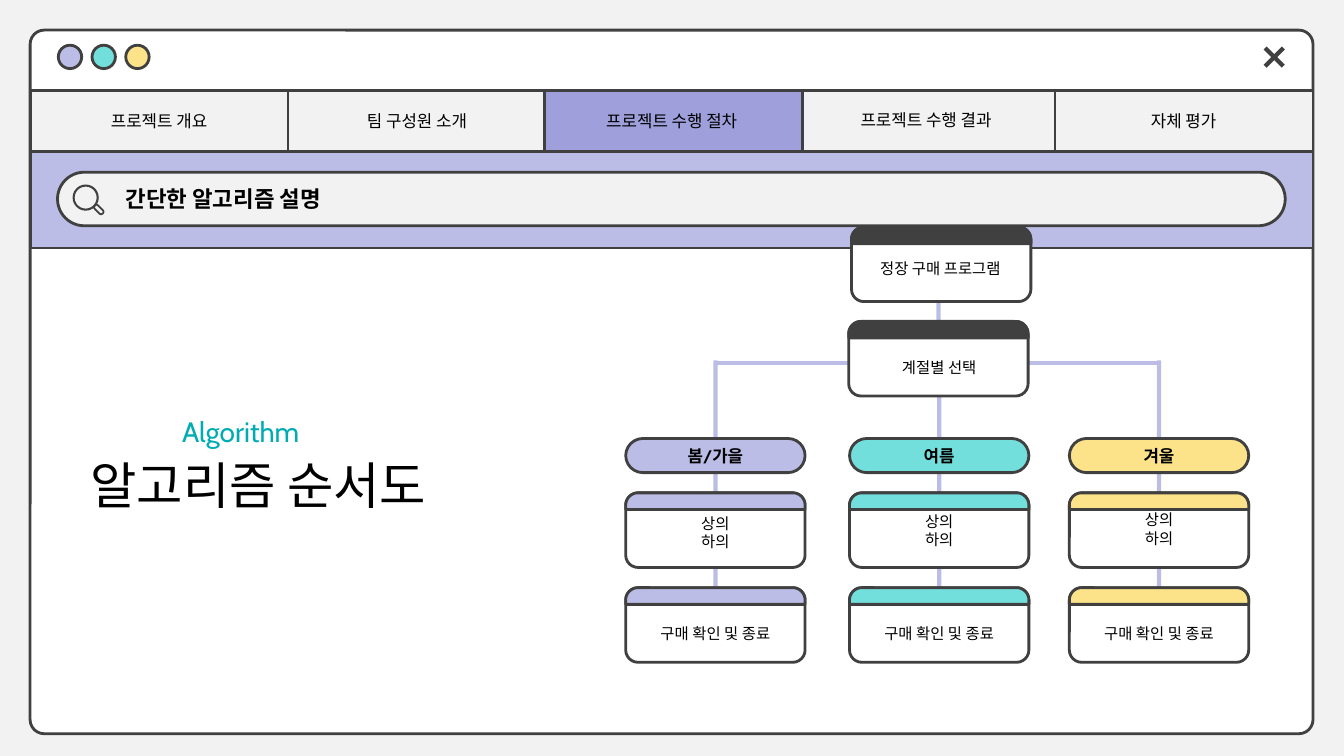
from math import cos, pi, sin
from lxml.etree import SubElement
from pptx import Presentation
from pptx.dml.color import RGBColor
from pptx.enum.shapes import MSO_CONNECTOR, MSO_SHAPE
from pptx.enum.text import MSO_ANCHOR, MSO_AUTO_SIZE, PP_ALIGN
from pptx.oxml.ns import qn
from pptx.util import Cm, Pt

COLORS = {
    "page": "F2F2F2", "white": "FFFFFF", "ink": "404040", "black": "000000",
    "lavender": "BCBDE6", "violet": "9E9FDB", "mint": "73DFDC",
    "yellow": "FCE38A", "teal": "00ACB4",
}
FONT = "Cabin"

TABS = [
    ("프로젝트 개요", 0.76, 0.76, 2.67, "page"),
    ("팀 구성원 소개", 7.26, 7.26, 2.67, "page"),
    ("프로젝트 수행 절차", 13.72, 13.68, 2.67, "violet"),
    ("프로젝트 수행 결과", 20.22, 20.09, 2.64, "page"),
    ("자체 평가", 26.59, 26.58, 2.67, "page"),
]
HEADINGS = [
    ("간단한 알고리즘 설명", 2.92, 4.55, 26.09, 0.94, 16, "black", True),
    ("알고리즘 순서도", 2.03, 11.33, 13.51, 1.8, 36, "black", False),
    ("Algorithm", 4.34, 10.31, 9.07, 1.12, 20, "teal", False),
]
SEASONS = [
    ("봄/가을", 15.77, "lavender", 12.83),
    ("여름", 21.41, "mint", 12.78),
    ("겨울", 26.95, "yellow", 12.73),
]
CLOTHES = "상의\n하의"
CONFIRM = "구매 확인 및 종료"
START = ("정장 구매 프로그램", 21.46, 5.72, 21.44, 6.4)
CHOICE = ("계절별 선택", 21.39, 8.1, 21.41, 8.89)

CARD_WIDTH, CARD_HEIGHT, HEADER_HEIGHT, CARD_RADIUS = 4.52, 1.88, 0.42, 0.31
PILL_TOP, CLOTHES_TOP, CONFIRM_TOP = 11.05, 12.42, 14.81
BRANCH_Y = 9.14
TAB_WIDTH = 6.5

deck = Presentation()
deck.slide_width, deck.slide_height = Cm(33.87), Cm(19.05)
page = deck.slides.add_slide(deck.slide_layouts[6])


def color(name):
    return RGBColor.from_string(COLORS[name])


def paint(shape, fill, line="ink", line_width=2):
    shape.shadow.inherit = False
    if fill:
        shape.fill.solid()
        shape.fill.fore_color.rgb = color(fill)
    else:
        shape.fill.background()
    if line:
        shape.line.color.rgb = color(line)
        shape.line.width = Pt(line_width)
    else:
        shape.line.fill.background()
    return shape


def add_box(kind, left, top, width, height, fill, line="ink", line_width=2, adjust=None):
    box = page.shapes.add_shape(kind, Cm(left), Cm(top), Cm(width), Cm(height))
    if adjust is not None:
        box.adjustments[0] = adjust
    return paint(box, fill, line, line_width)


def write(box, text, size, ink="black", bold=False, align=PP_ALIGN.CENTER):
    box.text_frame.text = text
    box.text_frame.word_wrap = True
    for para in box.text_frame.paragraphs:
        para.alignment = align
        for span in para.runs:
            span.font.name = FONT
            span.font.size = Pt(size)
            span.font.bold = bold
            span.font.color.rgb = color(ink)


def add_label(text, left, top, width, height, size, **style):
    box = page.shapes.add_textbox(Cm(left), Cm(top), Cm(width), Cm(height))
    write(box, text, size, **style)
    box.text_frame.auto_size = MSO_AUTO_SIZE.SHAPE_TO_FIT_TEXT


def add_link(x1, y1, x2, y2):
    link = page.shapes.add_connector(MSO_CONNECTOR.STRAIGHT, Cm(x1), Cm(y1), Cm(x2), Cm(y2))
    link.line.color.rgb = color("lavender")
    link.line.width = Pt(3)
    SubElement(link._element.spPr, qn("a:effectLst"))
    return link


def add_card(left, top, header):
    card = add_box(MSO_SHAPE.ROUNDED_RECTANGLE, left, top, CARD_WIDTH, CARD_HEIGHT,
                   "white", adjust=CARD_RADIUS / CARD_HEIGHT)
    right, bottom = left + CARD_WIDTH, top + HEADER_HEIGHT
    steps = 12
    outline = [(left, bottom)]
    for center_x, first_angle in ((left + CARD_RADIUS, pi), (right - CARD_RADIUS, 1.5 * pi)):
        for step in range(steps + 1):
            angle = first_angle + step * pi / 2 / steps
            outline.append((center_x + CARD_RADIUS * cos(angle),
                            top + CARD_RADIUS + CARD_RADIUS * sin(angle)))
    outline.append((right, bottom))
    points = [(Cm(x), Cm(y)) for x, y in outline]
    builder = page.shapes.build_freeform(*points[0])
    builder.add_line_segments(points[1:], close=True)
    paint(builder.convert_to_shape(), header)
    return card


def add_tilted(kind, center_x, center_y, length, thickness, angle, **style):
    bar = add_box(kind, center_x - length / 2, center_y - thickness / 2,
                  length, thickness, **style)
    bar.rotation = angle


background = page.background.fill
background.solid()
background.fore_color.rgb = color("page")

add_box(MSO_SHAPE.ROUNDED_RECTANGLE, 0.76, 0.76, 32.33, 17.73, "white", adjust=0.02)
for index, (_, _, fill, _) in enumerate(SEASONS):
    add_box(MSO_SHAPE.OVAL, 1.47 + index * 0.85, 1.14, 0.59, 0.59, fill)
for angle in (45, 135):
    add_tilted(MSO_SHAPE.RECTANGLE, 32.11, 1.44, 0.65, 0.11, angle, fill="ink", line=None)

for _, left, _, _, fill in TABS:
    add_box(MSO_SHAPE.RECTANGLE, left, 2.29, TAB_WIDTH, 1.52, fill)
for text, _, left, top, _ in TABS:
    add_label(text, left, top, TAB_WIDTH, 0.76, 12)

add_box(MSO_SHAPE.RECTANGLE, 0.76, 3.81, 32.33, 2.44, "lavender")
add_box(MSO_SHAPE.ROUNDED_RECTANGLE, 1.45, 4.34, 30.94, 1.35, "page", adjust=0.5)
add_box(MSO_SHAPE.DONUT, 1.83, 4.65, 0.66, 0.66, "ink", line=None, adjust=0.08)
add_tilted(MSO_SHAPE.ROUNDED_RECTANGLE, 2.49, 5.28, 0.28, 0.12, 45,
           fill=None, line_width=1.25, adjust=0.4)

for text, left, top, width, height, size, ink, bold in HEADINGS:
    add_label(text, left, top, width, height, size, ink=ink, bold=bold, align=PP_ALIGN.LEFT)

middles = [left + CARD_WIDTH / 2 for _, left, _, _ in SEASONS]
add_link(middles[0], BRANCH_Y, middles[-1], BRANCH_Y)
branches = [add_link(x, BRANCH_Y - 0.06, x, CONFIRM_TOP) for x in middles]
choice_middle = CHOICE[1] + CARD_WIDTH / 2
start_link = add_link(choice_middle, START[2] + CARD_HEIGHT, choice_middle, CHOICE[2])

for (season, left, fill, clothes_top), branch in zip(SEASONS, branches):
    pill = add_box(MSO_SHAPE.ROUNDED_RECTANGLE, left, PILL_TOP, CARD_WIDTH, 0.86, fill, adjust=0.5)
    write(pill, season, 12, bold=True)
    pill.text_frame.vertical_anchor = MSO_ANCHOR.MIDDLE
    add_card(left, CLOTHES_TOP, fill)
    branch.end_connect(add_card(left, CONFIRM_TOP, fill), 0)
    add_label(CLOTHES, left, clothes_top, CARD_WIDTH, 1.19, 11)
    add_label(CONFIRM, left, 15.6, CARD_WIDTH, 0.74, 11)

cards = []
for text, left, top, text_left, text_top in (START, CHOICE):
    cards.append(add_card(left, top, "ink"))
    add_label(text, text_left, text_top, CARD_WIDTH, 0.74, 11)
start_link.end_connect(cards[1], 0)

deck.save("out.pptx")
